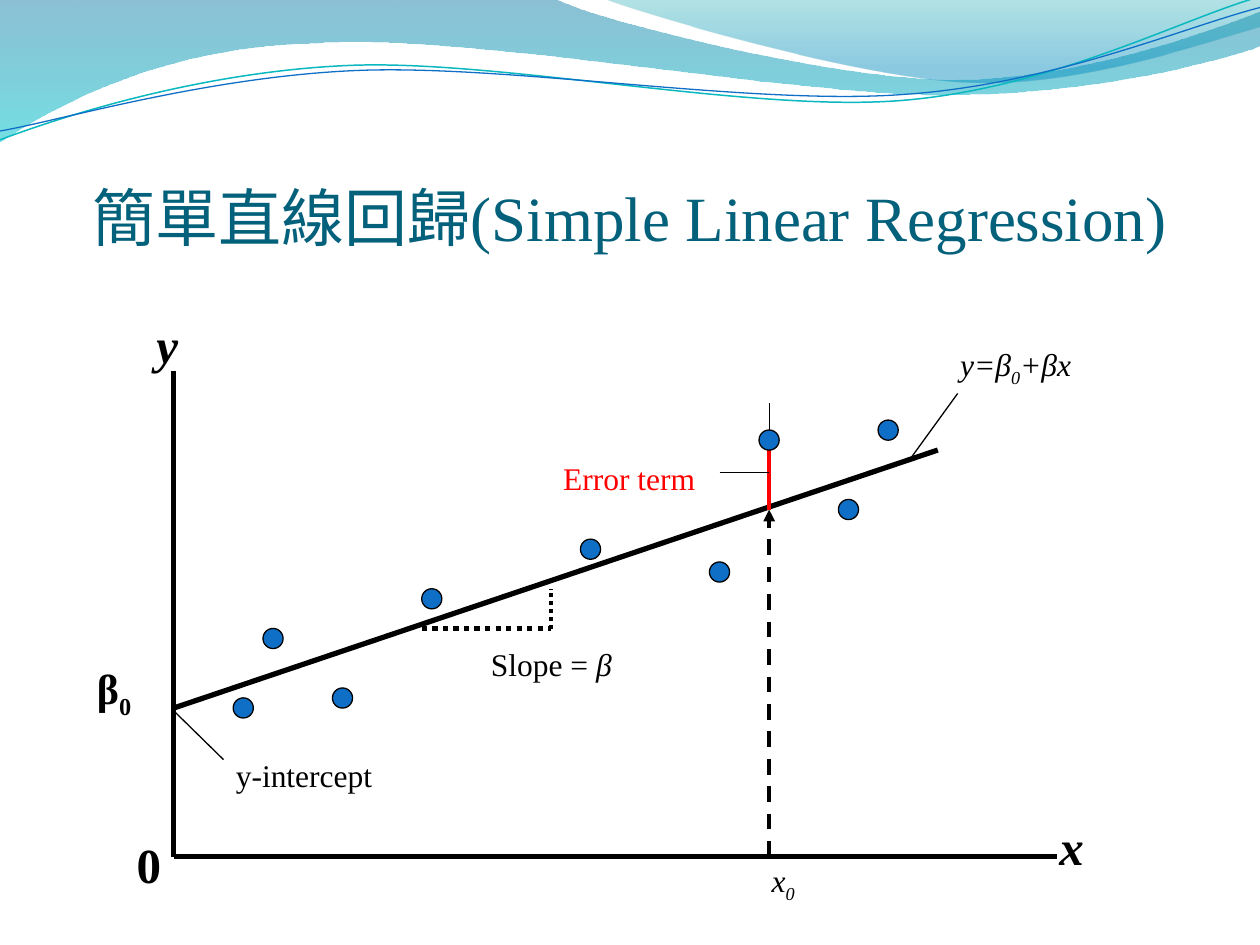
from lxml import etree
from pptx import Presentation
from pptx.dml.color import RGBColor
from pptx.enum.dml import MSO_LINE
from pptx.enum.shapes import MSO_CONNECTOR, MSO_SHAPE
from pptx.enum.text import MSO_ANCHOR, MSO_AUTO_SIZE, PP_ALIGN
from pptx.oxml.ns import qn
from pptx.util import Cm, Inches, Pt

BLACK = RGBColor(0, 0, 0)
RED = RGBColor(255, 0, 0)
BLUE = RGBColor(0x0F, 0x6F, 0xC6)
TEAL = RGBColor(0x0A, 0xB8, 0xBF)
NAVY = RGBColor(0x04, 0x61, 0x7B)
DEEP = RGBColor(0x00, 0x74, 0xA1)
AQUA = RGBColor(0x00, 0xC6, 0xCF)
SEA = RGBColor(0x00, 0xA1, 0xA9)
SKY = RGBColor(0x00, 0x8B, 0xBF)
DOT, DASH = MSO_LINE.ROUND_DOT, MSO_LINE.DASH
STRAIGHT, OVAL = MSO_CONNECTOR.STRAIGHT, MSO_SHAPE.OVAL
BOTTOM, CENTER = MSO_ANCHOR.BOTTOM, PP_ALIGN.CENTER
NO_FIT = MSO_AUTO_SIZE.NONE
FONT = "Times New Roman"
UNIT, LEFT, BASE = Cm(2), Inches(1.38), Inches(6.8)
SIZE = Inches(0.16)

TITLE = "簡單直線回歸(Simple Linear Regression)"

BANDS = [
    ([(0, 0), (4.4, -0.01),
      (4.76, 0.17, 6.64, 0.63, 7.58, 0.63), (8.53, 0.63, 9.58, 0.26, 10, 0.09),
      (10.01, 0.36), (9.83, 0.44, 8.7, 0.76, 7.46, 0.75),
      (6.22, 0.75, 3.82, 0.28, 2.57, 0.34), (1.29, 0.36, 0.46, 0.83, -0.01, 1.13)],
     [(0, DEEP, 45), (1, AQUA, 55)]),
    ([(4.79, -0.01), (5.09, 0.11, 6.82, 0.62, 7.69, 0.65),
      (8.56, 0.69, 9.61, 0.32, 10, 0.21), (10, 0)],
     [(0, SEA, 30), (0.8, SKY, 45)]),
]
WAVES = [
    ([(0, 1.11), (0.48, 0.93, 1.58, 0.57, 2.77, 0.52),
      (3.95, 0.47, 5.93, 0.89, 7.13, 0.8), (8.33, 0.71, 9.38, 0.15, 9.98, -0.02)],
     TEAL, 0.85),
    ([(0, 1.04), (0.47, 0.96, 1.64, 0.61, 2.83, 0.56),
      (4.03, 0.51, 5.97, 0.84, 7.17, 0.75), (8.36, 0.67, 9.41, 0.21, 10, 0.06)],
     BLUE, 0.75),
]
LINES = [
    ((0, 4.9), (0, 0), 3, {}),
    ((0, 0), (8.9, 0), 3, {}),
    ((0, 1.5), (7.7, 4.1), 3, {}),
    ((2.5, 2.3), (3.8, 2.3), 3, {"dash": DOT}),
    ((3.8, 2.3), (3.8, 2.7), 2.25, {"dash": DOT}),
    ((6, 0), (6, 3.5), 2.25, {"dash": DASH, "arrow": True}),
    ((6, 4.2), (6, 3.5), 2.25, {"color": RED}),
    ((6, 4.57), (6, 4.18), 0.75, {}),
    ((0, 1.47), (0.5, 0.98), 0.75, {}),
    ((5.5, 3.87), (6, 3.87), 0.75, {}),
    ((7.4, 3.98), (7.9, 4.67), 0.75, {}),
]
DOTS = [(0.7, 1.5), (1, 2.2), (1.7, 1.6), (2.6, 2.6), (4.2, 3.1),
        (5.5, 2.87), (6.8, 3.5), (7.2, 4.3), (6, 4.2)]
LABELS = [
    (8.8, 0.47, 0.5, [("x", "i")], {"size": 28, "bold": True}),
    (-0.3, 5.53, 0.4, [("y", "i")], {"size": 28, "bold": True}),
    (-0.5, 0.29, 0.5, [("0", "")], {"size": 28, "bold": True}),
    (-0.9, 2.02, 1.2, [("β", ""), ("0", "s")], {"size": 24, "bold": True}),
    (0.5, 1.08, 2, [("y-intercept", "")], {}),
    (3.07, 2.2, 2, [("Slope = ", ""), ("β", "i")], {}),
    (3.8, 4.07, 1.7, [("Error term", "")], {"color": RED}),
    (7.8, 5.04, 1.6, [("y=β", "i"), ("0", "is"), ("+βx", "i")], {"space": 0.4}),
    (5.9, 0.02, 0.55, [("x", "i"), ("0", "is")], {}),
]


def write(frame, runs, size=18, color=BLACK, bold=False, align=None, space=None):
    frame.word_wrap = True
    par = frame.paragraphs[0]
    par.alignment = align
    par.line_spacing = space
    for text, style in runs:
        run = par.add_run()
        run.text = text
        font = run.font
        font.name, font.size, font.bold = FONT, Pt(size), bold
        font.italic = "i" in style
        font.color.rgb = color
        if "s" in style:
            run._r.get_or_add_rPr().set("baseline", "-25000")


def place(x, y):
    return round(LEFT + x * UNIT), round(BASE - y * UNIT)


def outline(shapes, path, close):
    parts = [[Inches(value) for value in part] for part in path]
    ends = [part[-2:] for part in parts]
    pen = shapes.build_freeform(*ends[0])
    pen.add_line_segments(ends[1:], close=close)
    shape = pen.convert_to_shape()
    shape.shadow.inherit = False
    track = next(shape._element.iter(qn("a:path")))
    for part, node in zip(parts, list(track)):
        if len(part) == 2:
            continue
        curve = etree.Element(qn("a:cubicBezTo"))
        for x, y in zip(part[::2], part[1::2]):
            etree.SubElement(curve, qn("a:pt"), x=str(x - shape.left), y=str(y - shape.top))
        track.replace(node, curve)
    return shape


def draw_band(shapes, path, stops):
    shape = outline(shapes, path, True)
    shape.line.fill.background()
    shape.fill.gradient()
    shape.fill.gradient_angle = 270
    for stop, (spot, color, _) in zip(shape.fill.gradient_stops, stops):
        stop.position = spot
        stop.color.rgb = color
    tints = shape._element.spPr.iter(qn("a:srgbClr"))
    for tint, (_, _, alpha) in zip(tints, stops):
        etree.SubElement(tint, qn("a:alpha"), val=str(alpha * 1000))


def draw_wave(shapes, path, color, width):
    shape = outline(shapes, path, False)
    shape.fill.background()
    shape.line.color.rgb = color
    shape.line.width = Pt(width)


def draw_line(shapes, start, end, width, color=BLACK, dash=None, arrow=False):
    link = shapes.add_connector(STRAIGHT, *place(*start), *place(*end))
    line = link.line
    line.color.rgb = color
    line.width = Pt(width)
    if dash:
        line.dash_style = dash
    if arrow:
        etree.SubElement(line._get_or_add_ln(), qn("a:tailEnd"), type="triangle")
    etree.SubElement(link._element.spPr, qn("a:effectLst"))


def draw_dot(shapes, x, y):
    mid, row = place(x, y)
    dot = shapes.add_shape(OVAL, mid - SIZE // 2, row - SIZE // 2, SIZE, SIZE)
    dot.shadow.inherit = False
    dot.fill.solid()
    dot.fill.fore_color.rgb = BLUE
    dot.line.color.rgb = BLACK
    dot.line.width = Pt(0.75)


def main():
    deck = Presentation()
    deck.slide_width, deck.slide_height = Inches(10), Inches(7.5)
    slide = deck.slides.add_slide(deck.slide_layouts[5])
    shapes = slide.shapes
    for band in BANDS:
        draw_band(shapes, *band)
    for wave in WAVES:
        draw_wave(shapes, *wave)
    for start, end, width, style in LINES:
        draw_line(shapes, start, end, width, **style)
    for dot in DOTS:
        draw_dot(shapes, *dot)
    for x, y, wide, runs, style in LABELS:
        high = Pt(style.get("size", 18) * 1.2 * style.get("space", 1)) + Inches(0.1)
        box = shapes.add_textbox(*place(x, y), round(wide * UNIT), high)
        write(box.text_frame, runs, **style)
    title = shapes.title
    title.left, title.top = Inches(0.5), Inches(0.77)
    title.width, title.height = Inches(9), Inches(1.25)
    frame = title.text_frame
    frame.auto_size = NO_FIT
    frame.vertical_anchor = BOTTOM
    frame.margin_left = frame.margin_right = frame.margin_bottom = 0
    write(frame, [(TITLE, "")], size=36, color=NAVY, align=CENTER)
    deck.save("out.pptx")


if __name__ == "__main__":
    main()
